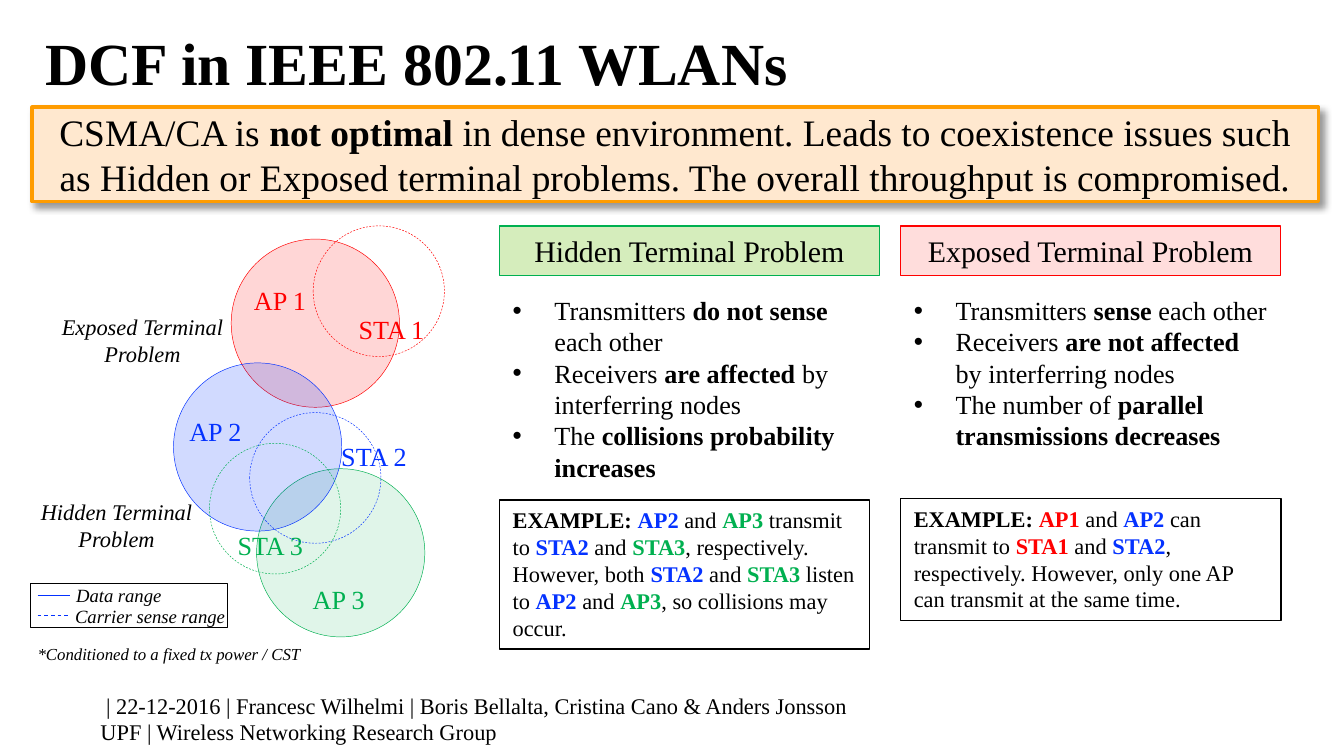
from dataclasses import dataclass

from lxml.etree import SubElement
from pptx import Presentation
from pptx.dml.color import RGBColor
from pptx.enum.dml import MSO_LINE
from pptx.enum.shapes import MSO_CONNECTOR, MSO_SHAPE
from pptx.enum.text import MSO_ANCHOR, PP_ALIGN
from pptx.oxml.ns import qn
from pptx.util import Cm, Pt


@dataclass(frozen=True)
class Theme:
    font: str = "Times New Roman"
    black: str = "000000"
    red: str = "FF0000"
    blue: str = "0432FF"
    green: str = "00B050"
    pink: str = "FFC6C5"
    lime: str = "92D050"
    peach: str = "FFE8CF"
    orange: str = "FF9C00"
    title: int = 32
    banner: int = 20
    heading: int = 16
    body: int = 14
    small: int = 12
    legend: int = 10
    note: int = 9


T = Theme()
NODE_COLORS = {"1": T.red, "2": T.blue, "3": T.green}

prs = Presentation()
prs.slide_width, prs.slide_height = Cm(25.4), Cm(14.29)
s = prs.slides.add_slide(prs.slide_layouts[6])


def add_shape(kind, at, fill=None, alpha=100, line=T.black, width=0.75, dash=None):
    sp = s.shapes.add_shape(kind, *map(Cm, at))
    sp.shadow.inherit = False
    if fill:
        sp.fill.solid()
        sp.fill.fore_color.rgb = RGBColor.from_string(fill)
        color = sp.element.spPr.find(qn("a:solidFill")).find(qn("a:srgbClr"))
        SubElement(color, qn("a:alpha"), val=str(alpha * 1000))
    else:
        sp.fill.background()
    sp.line.color.rgb = RGBColor.from_string(line)
    sp.line.width = Pt(width)
    sp.line.dash_style = dash
    return sp


def write(target, text, size, align=PP_ALIGN.LEFT, italic=False, bullets=False,
          anchor=MSO_ANCHOR.TOP):
    """Fill a shape, or a new text box at a position; ** marks bold, node names get their colour."""
    sp = s.shapes.add_textbox(*map(Cm, target)) if isinstance(target, tuple) else target
    tf = sp.text_frame
    tf.word_wrap = True
    tf.vertical_anchor = anchor
    for i, paragraph in enumerate(text.split("\n")):
        p = tf.add_paragraph() if i else tf.paragraphs[0]
        p.alignment = align
        if bullets:
            pPr = p._p.get_or_add_pPr()
            pPr.set("marL", str(Cm(0.79)))
            pPr.set("indent", str(-Cm(0.79)))
            SubElement(pPr, qn("a:buFont"), typeface="Arial")
            SubElement(pPr, qn("a:buChar"), char="•")
        for j, part in enumerate(paragraph.split("**")):
            if not part:
                continue
            r = p.add_run()
            r.text = part
            r.font.name, r.font.size = T.font, Pt(size)
            r.font.bold, r.font.italic = j % 2 == 1, italic
            is_node = part.startswith(("AP", "STA"))
            color = NODE_COLORS.get(part[-1], T.black) if is_node else T.black
            r.font.color.rgb = RGBColor.from_string(color)


# Footer, title and banner
write((1.65, 12.95, 22.25, 1.27),
      " | 22-12-2016 | Francesc Wilhelmi | Boris Bellalta, Cristina Cano & Anders Jonsson\n"
      "UPF | Wireless Networking Research Group", T.small)
write((0.61, 0.36, 24.31, 1.57), "**DCF in IEEE 802.11 WLANs**", T.title)

banner = add_shape(MSO_SHAPE.RECTANGLE, (0.61, 2.03, 24.31, 1.78), T.peach,
                   line=T.orange, width=2)
shadow = SubElement(banner.element.spPr.find(qn("a:effectLst")), qn("a:outerShdw"),
                    blurRad=str(Pt(4)), dist=str(Pt(3)), dir="2700000",
                    algn="tl", rotWithShape="0")
shadow_color = SubElement(shadow, qn("a:srgbClr"), val=T.black)
SubElement(shadow_color, qn("a:alpha"), val="40000")
write(banner, "CSMA/CA is **not optimal** in dense environment. Leads to coexistence issues "
      "such as Hidden or Exposed terminal problems. The overall throughput is compromised.",
      T.banner, PP_ALIGN.CENTER, anchor=MSO_ANCHOR.MIDDLE)

# One column per problem
columns = [
    (9.44, "Hidden Terminal Problem", T.lime, 38, T.green,
     "Transmitters **do not sense** each other\n"
     "Receivers **are affected** by interferring nodes\n"
     "The **collisions probability increases**",
     (9.45, 6.99, 2.82),
     "**EXAMPLE: ****AP2** and **AP3** transmit to **STA2** and **STA3**, respectively. "
     "However, both **STA2** and **STA3** listen to **AP2** and **AP3**, "
     "so collisions may occur."),
    (17.02, "Exposed Terminal Problem", T.pink, 59, T.red,
     "Transmitters **sense** each other\n"
     "Receivers **are not affected** by interferring nodes\n"
     "The number of **parallel transmissions decreases**",
     (9.42, 7.19, 2.31),
     "**EXAMPLE: ****AP1** and **AP2** can transmit to **STA1** and **STA2**, respectively. "
     "However, only one AP can transmit at the same time."),
]
for x, heading, fill, alpha, line, points, (top, width, height), example in columns:
    header = add_shape(MSO_SHAPE.RECTANGLE, (x, 4.27, 7.18, 0.94), fill, alpha, line)
    write(header, heading, T.heading, PP_ALIGN.CENTER)
    write((x, 5.44, 7.19, 3.84), points, T.body, bullets=True)
    example_box = add_shape(MSO_SHAPE.RECTANGLE, (x, top, width, height))
    write(example_box, example, T.small)

# Data ranges, node labels and carrier sense ranges
for x, y, color, alpha in [(4.85, 8.86, T.green, 12), (4.37, 4.52, T.red, 16),
                           (3.28, 6.86, T.blue, 18)]:
    add_shape(MSO_SHAPE.OVAL, (x, y, 3.18, 3.18), color, alpha, color, 0.25)

for x, y, name in [(6.53, 5.79, "STA 1"), (6.2, 8.2, "STA 2"), (4.24, 9.88, "STA 3"),
                   (4.55, 5.26, "AP 1"), (3.33, 7.72, "AP 2"), (5.66, 10.9, "AP 3")]:
    write((x, y, 1.98, 0.86), name, T.body)

for x, y, color in [(4.72, 7.8, T.blue), (3.96, 8.38, T.green), (5.92, 4.27, T.red)]:
    add_shape(MSO_SHAPE.OVAL, (x, y, 2.48, 2.47), line=color, width=0.25,
              dash=MSO_LINE.DASH)

for x, y, caption in [(0.79, 5.79, "Exposed Terminal Problem"),
                      (0.3, 9.3, "Hidden Terminal Problem")]:
    write((x, y, 3.81, 1.27), caption, T.small, PP_ALIGN.CENTER, italic=True)

# Legend and note
for y, dash in [(11.25, None), (11.63, MSO_LINE.DASH)]:
    key = s.shapes.add_connector(MSO_CONNECTOR.STRAIGHT, Cm(0.71), Cm(y), Cm(1.32), Cm(y))
    key.line.color.rgb = RGBColor.from_string(T.blue)
    key.line.width = Pt(0.5)
    key.line.dash_style = dash
    SubElement(key.element.spPr, qn("a:effectLst"))
write((1.19, 10.92, 2.51, 0.69), "Data range", T.legend, italic=True)
write((1.17, 11.3, 3.45, 0.69), "Carrier sense range", T.legend, italic=True)
add_shape(MSO_SHAPE.RECTANGLE, (0.58, 11.02, 3.71, 0.84), width=0.25)
write((0.46, 12.04, 5.61, 0.64), "*Conditioned to a fixed tx power / CST", T.note, italic=True)

prs.save("out.pptx")
